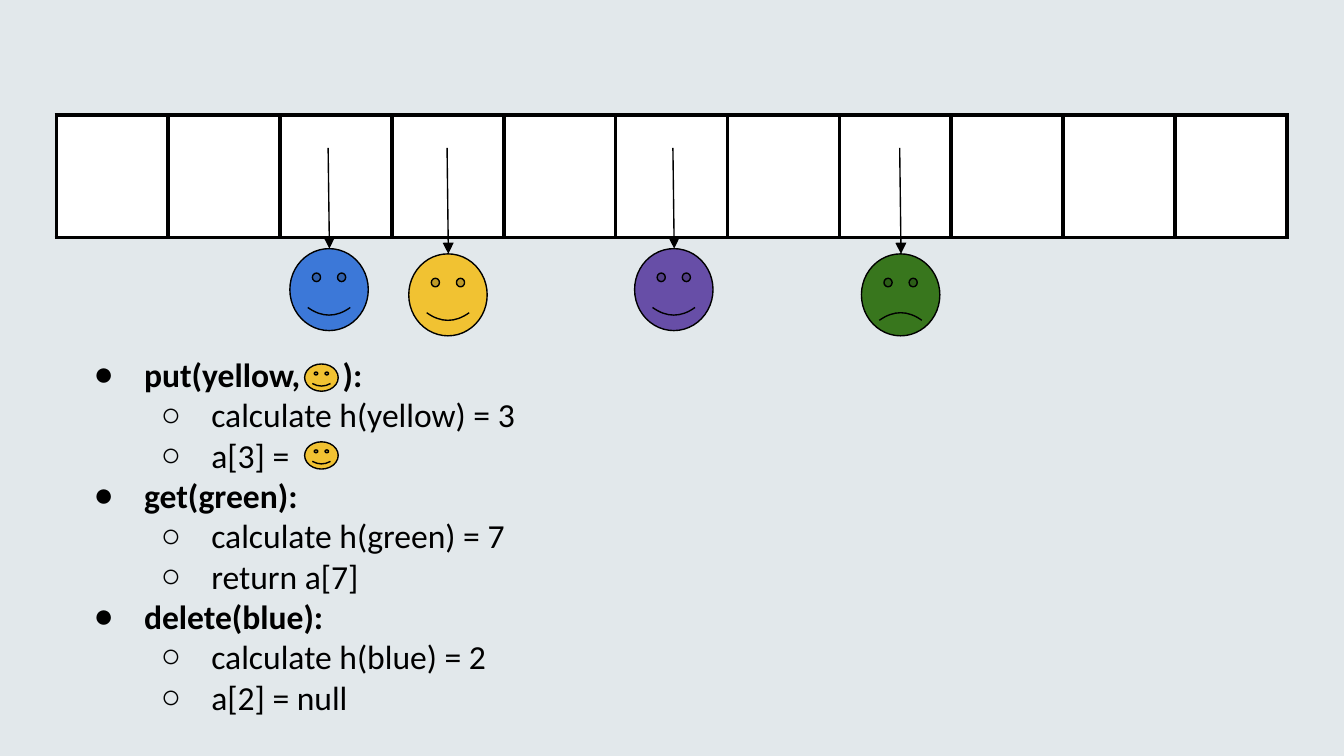
from pptx import Presentation
from pptx.dml.color import RGBColor
from pptx.enum.shapes import MSO_CONNECTOR, MSO_SHAPE
from pptx.enum.text import MSO_ANCHOR, MSO_AUTO_SIZE, PP_ALIGN
from pptx.oxml.ns import qn
from pptx.util import Pt
from lxml.etree import SubElement

COLORS = {
    "back": "E2E8EB", "ink": "000000", "cell": "FFFFFF", "green": "38761D",
    "purple": "674EA7", "blue": "3C78D8", "yellow": "F1C232",
}


def color(name):
    return RGBColor.from_string(COLORS[name])


def add_face(left, top, width, height, name, smile=0.0465):
    face = slide.shapes.add_shape(
        MSO_SHAPE.SMILEY_FACE, Pt(left), Pt(top), Pt(width), Pt(height))
    face.adjustments[0] = smile
    face.shadow.inherit = False
    face.fill.solid()
    face.fill.fore_color.rgb = color(name)
    face.line.color.rgb = color("ink")
    face.line.width = Pt(0.75)


deck = Presentation()
deck.slide_width, deck.slide_height = Pt(720), Pt(405)
slide = deck.slides.add_slide(deck.slide_layouts[1])
slide.background.fill.solid()
slide.background.fill.fore_color.rgb = color("back")
title = slide.shapes.title
title.element.getparent().remove(title.element)

# List of operations; a wide space leaves room for the small face
steps = [
    (0, "put(yellow, ):"), (1, "calculate h(yellow) = 3"), (1, "a[3] ="),
    (0, "get(green):"), (1, "calculate h(green) = 7"), (1, "return a[7]"),
    (0, "delete(blue):"), (1, "calculate h(blue) = 2"), (1, "a[2] = null"),
]
body = slide.placeholders[1]
body.left, body.top, body.width, body.height = Pt(34), Pt(182.4), Pt(654.5), Pt(222.6)
frame = body.text_frame
frame.word_wrap = True
frame.auto_size = MSO_AUTO_SIZE.NONE
frame.vertical_anchor = MSO_ANCHOR.TOP
frame.margin_left = frame.margin_right = Pt(7.2)
frame.margin_top = frame.margin_bottom = Pt(7.2)
for i, (level, text) in enumerate(steps):
    para = frame.paragraphs[0] if i == 0 else frame.add_paragraph()
    head, gap, rest = text.partition(", ")
    if gap:
        para.add_run().text = head + ","
        space = para.add_run()
        space.text = " "
        space.font._element.set("spc", "1850")
        para.add_run().text = rest
    else:
        para.add_run().text = text
    para.level = level
    para.alignment = PP_ALIGN.LEFT
    para.space_before = para.space_after = Pt(0)
    props = para._p.get_or_add_pPr()
    props.set("marL", str(Pt(36 * (level + 1))))
    props.set("indent", str(Pt(-27)))
    SubElement(props, qn("a:buChar"), char="●○"[level])
    para.font.name = "Calibri"
    para.font.size = Pt(18)
    para.font.bold = level == 0
    para.font.color.rgb = color("ink")

# Array of eleven cells
count, side = 11, 59.95
grid = slide.shapes.add_table(
    1, count, Pt(30.2), Pt(61.7), Pt(count * side), Pt(65.5)).table
for col in grid.columns:
    col.width = Pt(side)
for cell in grid.iter_cells():
    cell.fill.solid()
    cell.fill.fore_color.rgb = color("cell")
    props = cell._tc.get_or_add_tcPr()
    for i, edge in enumerate(("a:lnL", "a:lnR", "a:lnT", "a:lnB")):
        line = SubElement(props, qn(edge), w=str(Pt(2.25)))
        fill = SubElement(line, qn("a:solidFill"))
        SubElement(fill, qn("a:srgbClr"), val=COLORS["ink"])
        props.insert(i, line)

# Stored faces, each with an arrow from its cell
faces = [
    ("green", 461.5, 136, -0.0465), ("purple", 340, 133.2, 0.0465),
    ("blue", 155.3, 133.2, 0.0465), ("yellow", 219, 136, 0.0465),
]
for name, left, top, smile in faces:
    add_face(left, top, 42, 43.9, name, smile)
    mid = left + 21
    arrow = slide.shapes.add_connector(
        MSO_CONNECTOR.STRAIGHT, Pt(mid - 0.5), Pt(79.2), Pt(mid + 0.2), Pt(top))
    arrow.line.color.rgb = color("ink")
    arrow.line.width = Pt(0.75)
    SubElement(arrow.line._get_or_add_ln(), qn("a:tailEnd"), type="triangle")
    SubElement(arrow._element.spPr, qn("a:effectLst"))

# Small faces within the list, one below the other
for top in (195, 236.7):
    add_face(163.2, top, 18, 14.6, "yellow")

deck.save("out.pptx")
